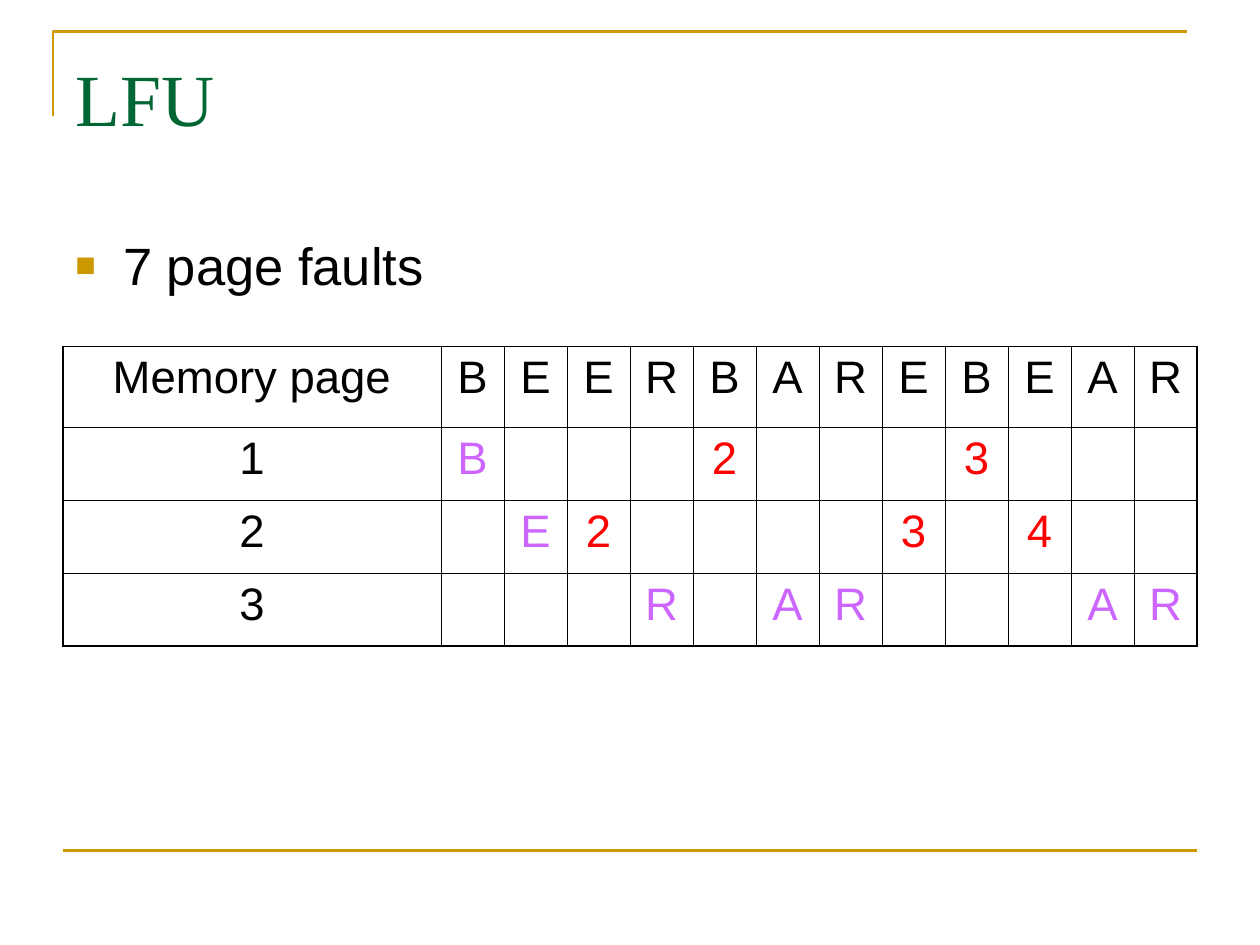
from lxml import etree
from pptx import Presentation
from pptx import util as u
from pptx.dml.color import RGBColor
from pptx.enum import shapes, text
from pptx.oxml.ns import qn

COLORS = {
    "gold": "CC9900",
    "green": "006633",
    "black": "000000",
    "fault": "CC66FF",
    "hit": "FF0000",
}


def rgb(name):
    return RGBColor.from_string(COLORS[name])


class Deck:
    rule_width = 1.5
    inner_border, outer_border = 0.45, 1.08
    body_font, title_font = "Arial", "Times New Roman"

    def __init__(self, width, height):
        self.prs = Presentation()
        self.prs.slide_width = u.Inches(width)
        self.prs.slide_height = u.Inches(height)
        self.slide = self.prs.slides.add_slide(self.prs.slide_layouts[6])

    def style(self, paragraph, font, size, color):
        paragraph.font.name = font
        paragraph.font.size = u.Pt(size)
        paragraph.font.color.rgb = rgb(color)

    def gild(self, line):
        line.color.rgb = rgb("gold")
        line.width = u.Pt(self.rule_width)

    def corner(self, points):
        start, *rest = [(u.Inches(x), u.Inches(y)) for x, y in points]
        builder = self.slide.shapes.build_freeform(*start)
        builder.add_line_segments(rest, close=False)
        bracket = builder.convert_to_shape()
        bracket.shadow.inherit = False
        bracket.fill.background()
        self.gild(bracket.line)

    def rule(self, x1, y1, x2, y2):
        ends = [u.Inches(v) for v in (x1, y1, x2, y2)]
        rule = self.slide.shapes.add_connector(shapes.MSO_CONNECTOR.STRAIGHT, *ends)
        self.gild(rule.line)
        etree.SubElement(rule._element.spPr, qn("a:effectLst"))

    def text(self, words, box, font, size, color, top_inset, bullet=None):
        frame = self.slide.shapes.add_textbox(*map(u.Inches, box)).text_frame
        frame.word_wrap = True
        frame.margin_top = u.Inches(top_inset)
        frame.vertical_anchor = text.MSO_ANCHOR.TOP
        paragraph = frame.paragraphs[0]
        paragraph.text = words
        if bullet:
            self.bullet(paragraph, bullet)
        self.style(paragraph, font, size, color)

    def bullet(self, paragraph, mark):
        props = paragraph._p.get_or_add_pPr()
        props.set("marL", str(u.Inches(0.38)))
        props.set("indent", str(u.Inches(-0.38)))
        tint = etree.SubElement(props, qn("a:buClr"))
        etree.SubElement(tint, qn("a:srgbClr"), val=COLORS["gold"])
        etree.SubElement(props, qn("a:buSzPct"), val="65000")
        etree.SubElement(props, qn("a:buFont"), typeface=self.body_font)
        etree.SubElement(props, qn("a:buChar"), char=mark)

    def borders(self, cell, outer):
        props = cell._tc.get_or_add_tcPr()
        for i, side in enumerate("LRTB"):
            width = self.outer_border if side in outer else self.inner_border
            line = etree.Element(qn("a:ln" + side), w=str(u.Pt(width)))
            fill = etree.SubElement(line, qn("a:solidFill"))
            etree.SubElement(fill, qn("a:srgbClr"), val=COLORS["black"])
            props.insert(i, line)

    def table(self, rows, left, top, widths, heights, color_of):
        last_row, last_col = len(heights) - 1, len(widths) - 1
        grid = self.slide.shapes.add_table(
            len(heights), len(widths), u.Inches(left), u.Inches(top),
            u.Inches(sum(widths)), u.Inches(sum(heights))).table
        grid.first_row = grid.horz_banding = False
        for column, width in zip(grid.columns, widths):
            column.width = u.Inches(width)
        for row, height in zip(grid.rows, heights):
            row.height = u.Inches(height)
        for r, values in enumerate(rows):
            for c, value in enumerate(values):
                cell = grid.cell(r, c)
                cell.fill.background()
                edges = {"L": c == 0, "R": c == last_col,
                         "T": r == 0, "B": r == last_row}
                self.borders(cell, [side for side, on in edges.items() if on])
                paragraph = cell.text_frame.paragraphs[0]
                paragraph.text = value
                paragraph.alignment = text.PP_ALIGN.CENTER
                self.style(paragraph, self.body_font, 26, color_of(r, c, value))


def access_color(row, column, value):
    if row == 0 or column == 0:
        return "black"
    return "hit" if value.isdigit() else "fault"


def main():
    deck = Deck(10, 7.5)
    deck.corner([(0.42, 0.92), (0.42, 0.25), (9.42, 0.25)])
    deck.rule(0.5, 6.75, 9.5, 6.75)
    deck.text("LFU", (0.5, 0.3, 9, 1.25), deck.title_font, 42, "green", 0.12)

    requests = "BEERBAREBEAR"
    frames = ["B   2   3   ", " E2    3 4  ", "   R AR   AR"]
    rows = [["Memory page", *requests]]
    for number, history in enumerate(frames, 1):
        rows.append([str(number), *(mark.strip() for mark in history)])
    deck.table(rows, 0.5, 2.75, [3] + [0.5] * len(requests),
               [0.64] + [0.58] * len(frames), access_color)

    deck.text("7 page faults", (0.5, 1.75, 9, 4.95), deck.body_font, 30,
              "black", 0.1, bullet="■")
    deck.prs.save("out.pptx")


if __name__ == "__main__":
    main()
